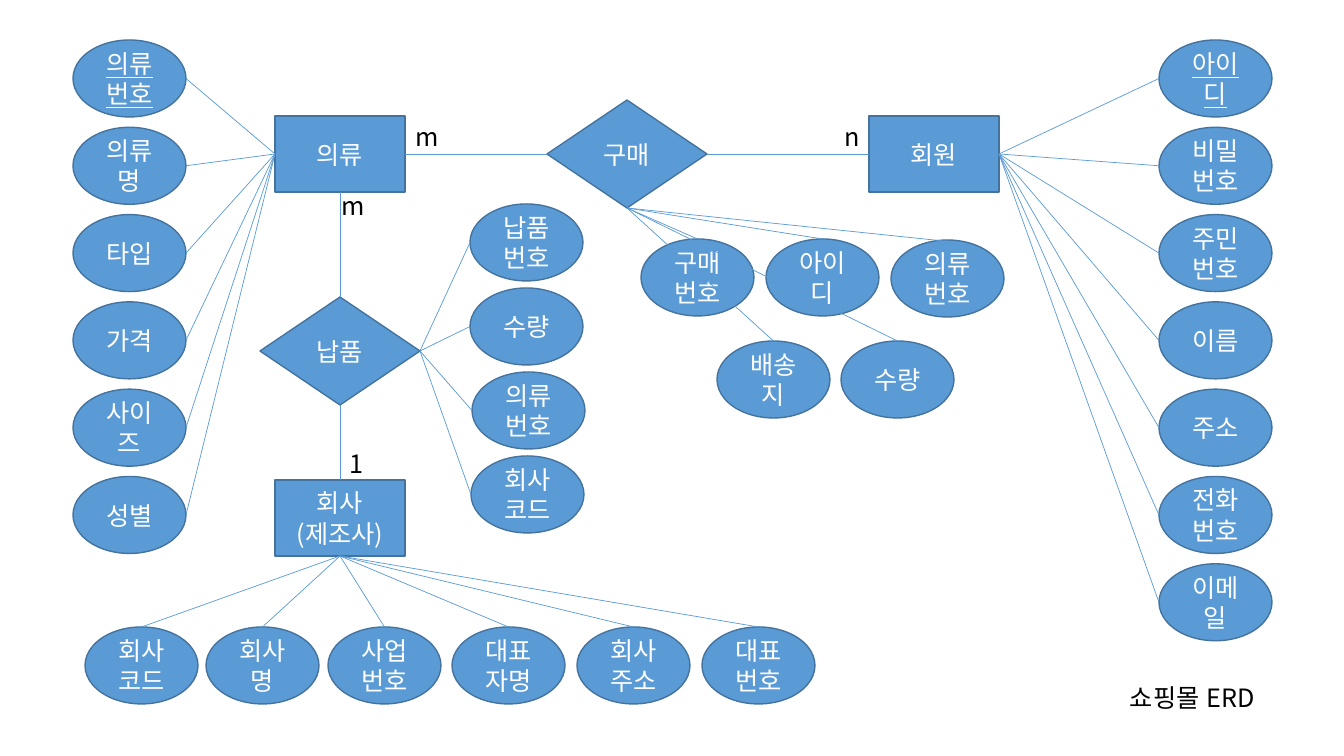
from lxml import etree
from pptx import Presentation
from pptx.dml.color import RGBColor
from pptx.enum.lang import MSO_LANGUAGE_ID
from pptx.enum.shapes import MSO_CONNECTOR, MSO_SHAPE
from pptx.enum.text import MSO_ANCHOR, MSO_AUTO_SIZE, PP_ALIGN
from pptx.oxml.ns import qn
from pptx.util import Pt

EMU_PER_PX = 914400 / 100.8
BLUE = RGBColor(0x5B, 0x9B, 0xD5)
DARK_BLUE = RGBColor(0x43, 0x73, 0x9E)
WHITE = RGBColor(0xFF, 0xFF, 0xFF)
BLACK = RGBColor(0x00, 0x00, 0x00)
FONT = "Noto Sans CJK KR"

RECT = MSO_SHAPE.RECTANGLE
DIAMOND = MSO_SHAPE.FLOWCHART_DECISION
OVAL = MSO_SHAPE.OVAL
STRAIGHT = MSO_CONNECTOR.STRAIGHT
CENTER = PP_ALIGN.CENTER
MIDDLE = MSO_ANCHOR.MIDDLE
GROW = MSO_AUTO_SIZE.SHAPE_TO_FIT_TEXT
KOREAN = MSO_LANGUAGE_ID.KOREAN

TOP, LEFT, BOTTOM, RIGHT = range(4)  # connection sides
SIZES = {RECT: (130, 76), DIAMOND: (160, 108), OVAL: (113, 77)}
COLUMN_TOP, COLUMN_STEP = 40, 87.3


def px(value):
    """Turn pixels into EMU."""
    return round(value * EMU_PER_PX)


def add_run(p, text, color, underline=None):
    """Add one styled run to a paragraph."""
    r = p.add_run()
    r.text = text
    font = r.font
    font.size, font.name, font.underline = Pt(18), FONT, underline
    font.color.rgb = color
    font.language_id = KOREAN
    latin = r._r.rPr.find(qn("a:latin"))
    ea = etree.Element(qn("a:ea"), typeface=FONT)
    latin.addnext(ea)


def add_node(slide, kind, x, y, text, underline=None):
    """Add an entity, relationship or attribute; each text line is a paragraph."""
    w, h = SIZES[kind]
    sp = slide.shapes.add_shape(kind, px(x), px(y), px(w), px(h))
    sp.shadow.inherit = False
    sp.fill.solid()
    sp.fill.fore_color.rgb = BLUE
    sp.line.color.rgb = DARK_BLUE
    sp.line.width = Pt(1)
    tf = sp.text_frame
    tf.word_wrap = True
    tf.vertical_anchor = MIDDLE
    for i, line in enumerate(text.split("\n")):
        p = tf.add_paragraph() if i else tf.paragraphs[0]
        p.alignment = CENTER
        add_run(p, line, WHITE, underline)
    return sp


def add_label(slide, x, y, w, text):
    """Add a one-line black label."""
    sp = slide.shapes.add_textbox(px(x), px(y), px(w), px(40))
    tf = sp.text_frame
    tf.word_wrap = False
    tf.auto_size = GROW
    add_run(tf.paragraphs[0], text, BLACK)


def add_line(slide, node, side, end_x=0, end_y=0):
    """Add a thin line from one side of a node to a point."""
    line = slide.shapes.add_connector(STRAIGHT, 0, 0, px(end_x), px(end_y))
    line.begin_connect(node, side)
    line.line.color.rgb = BLUE
    line.line.width = Pt(0.5)
    etree.SubElement(line._element.spPr, qn("a:effectLst"))
    return line


def link(slide, node, side, target, target_side):
    """Join two nodes; an oval has eight sites, so its sides count double."""
    line = add_line(slide, node, side)
    line.end_connect(target, target_side)
    if target.auto_shape_type == OVAL:
        line._element.nvCxnSpPr.cNvCxnSpPr.endCxn.idx = 2 * target_side


def add_attributes(slide, node, side, target_side, items):
    """Add attribute ovals given as (x, y, text) and link each to its node."""
    ovals = [add_node(slide, OVAL, *item) for item in items]
    for oval in ovals:
        link(slide, node, side, oval, target_side)


def column(x, names):
    """Lay attributes in an even column whose first one is the underlined key."""
    return [(x, COLUMN_TOP + COLUMN_STEP * i, name, True if i == 0 else None)
            for i, name in enumerate(names)]


def main():
    """Build the shopping mall ERD."""
    prs = Presentation()
    prs.slide_width, prs.slide_height = px(1344), px(756)
    slide = prs.slides.add_slide(prs.slide_layouts[6])

    company = add_node(slide, RECT, 275, 480, "회사\n(제조사)")
    member = add_node(slide, RECT, 869, 116, "회원")
    purchase = add_node(slide, DIAMOND, 547, 100, "구매")
    supply = add_node(slide, DIAMOND, 260, 297, "납품")
    clothing = add_node(slide, RECT, 275, 116, "의류")

    link(slide, clothing, RIGHT, purchase, LEFT)
    link(slide, purchase, RIGHT, member, LEFT)
    link(slide, clothing, BOTTOM, supply, TOP)
    link(slide, supply, BOTTOM, company, TOP)

    for label in [(406, 116, 42, "m"), (835, 116, 35, "n"),
                  (332, 185, 42, "m"), (340, 443, 34, "1")]:
        add_label(slide, *label)

    add_attributes(slide, clothing, LEFT, RIGHT, column(
        73, ["의류번호", "의류명", "타입", "가격", "사이즈", "성별"]))
    add_attributes(slide, member, RIGHT, LEFT, column(
        1159, ["아이디", "비밀번호", "주민번호", "이름", "주소", "전화번호", "이메일"]))
    add_attributes(slide, company, BOTTOM, TOP, [
        (85, 627, "회사코드"), (206, 627, "회사명"), (328, 627, "사업번호"),
        (452, 627, "대표자명"), (577, 627, "회사주소"), (702, 627, "대표번호")])
    add_attributes(slide, supply, RIGHT, LEFT, [
        (470, 204, "납품번호"), (470, 288, "수량"),
        (472, 372, "의류번호"), (471, 456, "회사코드")])
    add_node(slide, OVAL, 891, 240, "의류번호")
    add_line(slide, purchase, BOTTOM, 963, 243)
    add_attributes(slide, purchase, BOTTOM, TOP, [
        (641, 239, "구매번호"), (766, 239, "아이디"),
        (717, 341, "배송지"), (841, 341, "수량")])

    add_label(slide, 1120, 677, 152, "쇼핑몰 ERD")
    prs.save("out.pptx")


main()
